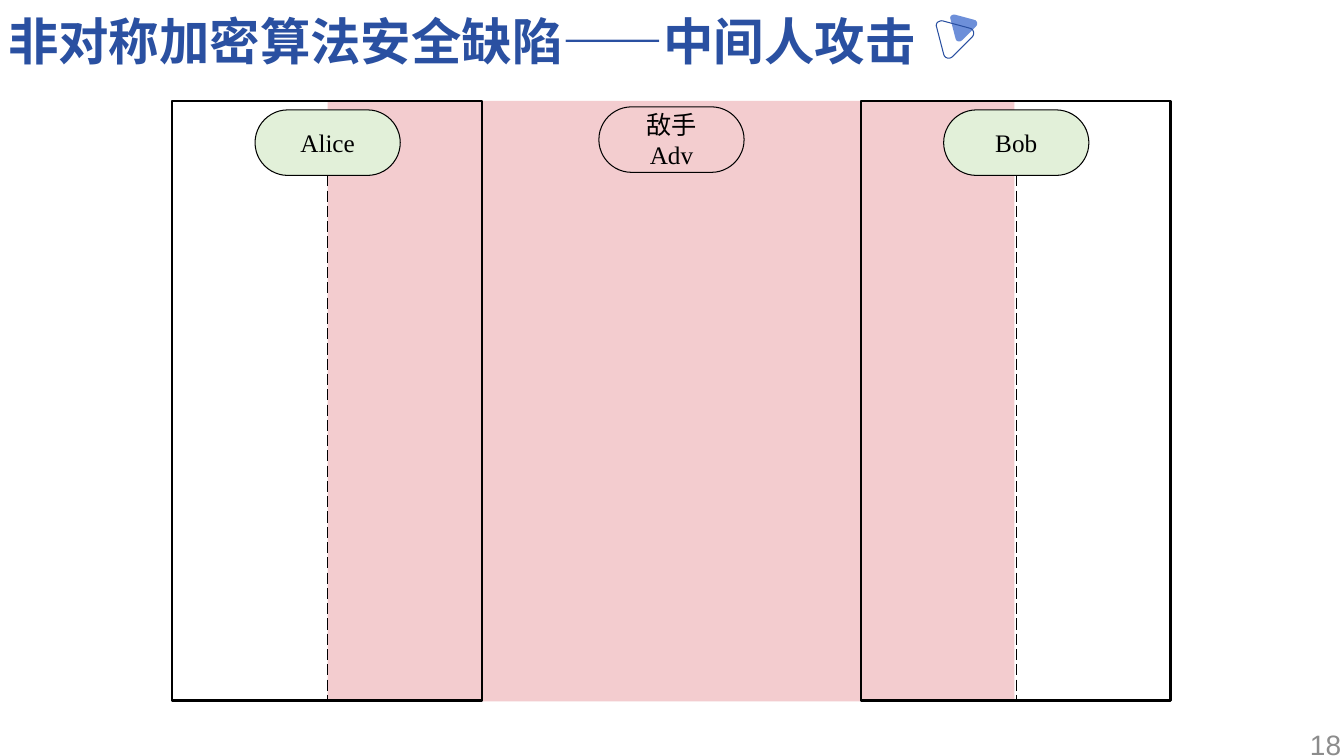
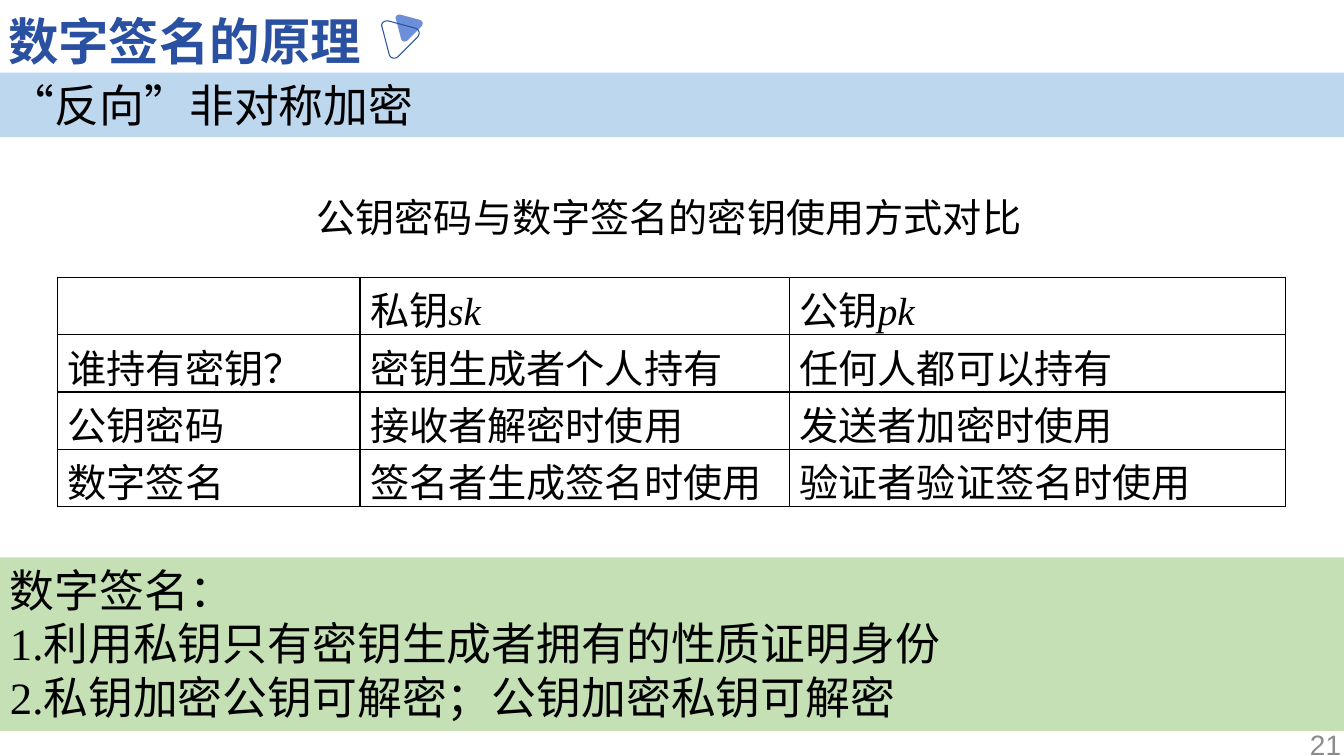
from lxml.etree import SubElement
from pptx import Presentation
from pptx.dml.color import RGBColor
from pptx.enum.dml import MSO_LINE
from pptx.enum.lang import MSO_LANGUAGE_ID
from pptx.enum.shapes import MSO_CONNECTOR, MSO_SHAPE
from pptx.enum.text import MSO_ANCHOR, PP_ALIGN
from pptx.oxml.ns import qn
from pptx.util import Emu, Pt

SCALE = 9144  # 100 px to the inch
BLACK = RGBColor(0x00, 0x00, 0x00)
NAVY = RGBColor(0x2A, 0x50, 0xA1)
BLUE = RGBColor(0x6D, 0x8F, 0xD9)
SKY = RGBColor(0xBD, 0xD7, 0xEE)
GREEN = RGBColor(0xC5, 0xE0, 0xB4)
MINT = RGBColor(0xE2, 0xF0, 0xD9)
PINK = RGBColor(0xF0, 0xC0, 0xC3)
ROSE = RGBColor(0xF3, 0xCD, 0xCF)
GREY = RGBColor(0x8C, 0x8C, 0x8C)
SANS, SERIF = "Arial", "Times New Roman"

# Rounded triangle: each side ends in a corner drawn by Bezier curves.
START = (36, 17)
SIDES = [
    [(17, 36), [(14, 39), (9, 38), (8, 34)]],
    [(1, 7), [(0, 5), (1, 3), (2, 2)], [(4, 1), (6, 0), (8, 1)]],
    [(34, 8), [(38, 9), (39, 14), START]],
]
STEPS = 6


def px(num):
    return Emu(round(num * SCALE))


def place(*nums):
    return [px(num) for num in nums]


def style(frame, size, font, color=BLACK, align=PP_ALIGN.LEFT, bold=False):
    """Format every run of a text frame."""
    for para in frame.paragraphs:
        para.alignment = align
        for run in para.runs:
            run.font.size = Pt(size)
            run.font.name = font
            run.font.bold = bold
            run.font.color.rgb = color
            run.font.language_id = MSO_LANGUAGE_ID.SIMPLIFIED_CHINESE


def paint(shape, fill=None, line=None, width=0.75):
    """Set fill and outline; None means there is none."""
    shape.shadow.inherit = False
    if fill is None:
        shape.fill.background()
    else:
        shape.fill.solid()
        shape.fill.fore_color.rgb = fill
    if line is None:
        shape.line.fill.background()
    else:
        shape.line.color.rgb = line
        shape.line.width = Pt(width)


def add_box(slide, box, fill=None, line=None, width=0.75, kind=MSO_SHAPE.RECTANGLE):
    shape = slide.shapes.add_shape(kind, *place(*box))
    paint(shape, fill, line, width)
    return shape


def add_pill(slide, mid, top, text, fill):
    wide = 144
    pill = add_box(slide, (mid - wide / 2, top, wide, 65), fill, BLACK,
                   kind=MSO_SHAPE.ROUNDED_RECTANGLE)
    pill.adjustments[0] = 0.5
    pill.text_frame.text = text
    style(pill.text_frame, 18, SERIF, align=PP_ALIGN.CENTER)


def add_band(slide, top, high, fill, text):
    """Add a strip of text across the whole slide."""
    frame = add_box(slide, (0, top, 1333, high), fill).text_frame
    frame.text = text
    frame.vertical_anchor = MSO_ANCHOR.TOP
    style(frame, 32, SERIF)


def add_dash(slide, mid):
    line = slide.shapes.add_connector(
        MSO_CONNECTOR.STRAIGHT, *place(mid, 174, mid, 695))
    line.line.color.rgb = BLACK
    line.line.width = Pt(1)
    line.line.dash_style = MSO_LINE.LONG_DASH
    SubElement(line._element.spPr, qn("a:effectLst"))


def add_label(slide, box, text, size, color=BLACK, align=PP_ALIGN.LEFT):
    frame = slide.shapes.add_textbox(*place(*box)).text_frame
    frame.word_wrap = True
    frame.text = text
    style(frame, size, SANS, color, align)
    return frame


def curve(*nodes):
    """Sample a cubic Bezier curve given by its four nodes."""
    for step in range(1, STEPS + 1):
        t = step / STEPS
        parts = ((1 - t) ** 3, 3 * t * (1 - t) ** 2, 3 * t * t * (1 - t), t ** 3)
        yield tuple(sum(part * node[axis] for part, node in zip(parts, nodes))
                    for axis in (0, 1))


def add_mark(slide, left, top, ratio, fill=None, line=None):
    """Add one rounded triangle of the title ornament."""
    dots = [START]
    for end, *bends in SIDES:
        dots.append(end)
        for bend in bends:
            dots.extend(curve(dots[-1], *bend))
    spots = [place(left + x * ratio, top + y * ratio) for x, y in dots]
    form = slide.shapes.build_freeform(*spots[0])
    form.add_line_segments(spots[1:], close=True)
    paint(form.convert_to_shape(), fill, line)


def add_slide(deck, title, page, mark):
    """Add a slide with its title, ornament at mark, and page number."""
    slide = deck.slides.add_slide(deck.slide_layouts[5])
    head = slide.shapes.title
    head.left, head.top, head.width, head.height = place(8, 10, 940, 50)
    frame = head.text_frame
    frame.text = title
    frame.vertical_anchor = MSO_ANCHOR.TOP
    frame.margin_left = frame.margin_right = 0
    frame.margin_top = frame.margin_bottom = 0
    style(frame, 36, SANS, NAVY, bold=True)
    add_mark(slide, mark + 14, 14, 0.72, fill=BLUE)
    add_mark(slide, mark, 20, 1, line=NAVY)
    foot = add_label(slide, (1040, 718, 300, 40), page, 20, GREY, PP_ALIGN.RIGHT)
    foot.vertical_anchor = MSO_ANCHOR.MIDDLE
    return slide


def add_edges(cell):
    props = cell._tc.get_or_add_tcPr()
    for side in ("a:lnL", "a:lnR", "a:lnT", "a:lnB"):
        edge = SubElement(props, qn(side), w=str(Pt(1)))
        fill = SubElement(edge, qn("a:solidFill"))
        SubElement(fill, qn("a:srgbClr"), val=str(BLACK))


def add_grid(slide, left, top, cols, high, rows):
    """Add a ruled table; a cell given as a pair ends in an italic symbol."""
    table = slide.shapes.add_table(
        len(rows), len(cols),
        *place(left, top, sum(cols), high * len(rows))).table
    table.first_row = table.horz_banding = False
    for col, wide in zip(table.columns, cols):
        col.width = px(wide)
    for row, texts in zip(table.rows, rows):
        row.height = px(high)
        for cell, text in zip(row.cells, texts):
            add_edges(cell)
            cell.fill.background()
            cell.vertical_anchor = MSO_ANCHOR.MIDDLE
            cell.margin_top, cell.margin_bottom = place(3, 7)
            word, sign = text if isinstance(text, tuple) else (text, "")
            cell.text = word
            if sign:
                cell.text_frame.paragraphs[0].add_run().text = sign
            style(cell.text_frame, 28, SANS)
            if sign:
                font = cell.text_frame.paragraphs[0].runs[1].font
                font.name = SERIF
                font.italic = True


def add_attack(deck):
    slide = add_slide(deck, "非对称加密算法安全缺陷——中间人攻击", "18", 928)
    alice, bob = 325, 1008
    zone = add_box(slide, (alice, 100, 681, 596), PINK)
    tint = zone._element.spPr.find(qn("a:solidFill"))[0]
    SubElement(tint, qn("a:alpha"), val="80000")
    for mid in (alice, bob):
        add_box(slide, (mid - 154, 100, 307, 595), line=BLACK, width=1.5)
        add_dash(slide, mid)
    add_pill(slide, 666, 106, "敌手\nAdv", ROSE)
    add_pill(slide, alice, 109, "Alice", MINT)
    add_pill(slide, bob, 109, "Bob", MINT)


def add_sign(deck):
    slide = add_slide(deck, "数字签名的原理", "21", 378)
    add_band(slide, 72, 64, SKY, "“反向”非对称加密")
    add_band(slide, 553, 172, GREEN, "数字签名：\n"
             "1.利用私钥只有密钥生成者拥有的性质证明身份\n"
             "2.私钥加密公钥可解密；公钥加密私钥可解密")
    add_grid(slide, 57, 275, (300, 426, 492), 57, [
        ("", ("私钥", "sk"), ("公钥", "pk")),
        ("谁持有密钥？", "密钥生成者个人持有", "任何人都可以持有"),
        ("公钥密码", "接收者解密时使用", "发送者加密时使用"),
        ("数字签名", "签名者生成签名时使用", "验证者验证签名时使用"),
    ])
    add_label(slide, (304, 187, 730, 57), "公钥密码与数字签名的密钥使用方式对比", 28)


def main():
    deck = Presentation()
    deck.slide_width, deck.slide_height = place(1333, 750)
    add_attack(deck)
    add_sign(deck)
    deck.save("out.pptx")


if __name__ == "__main__":
    main()
